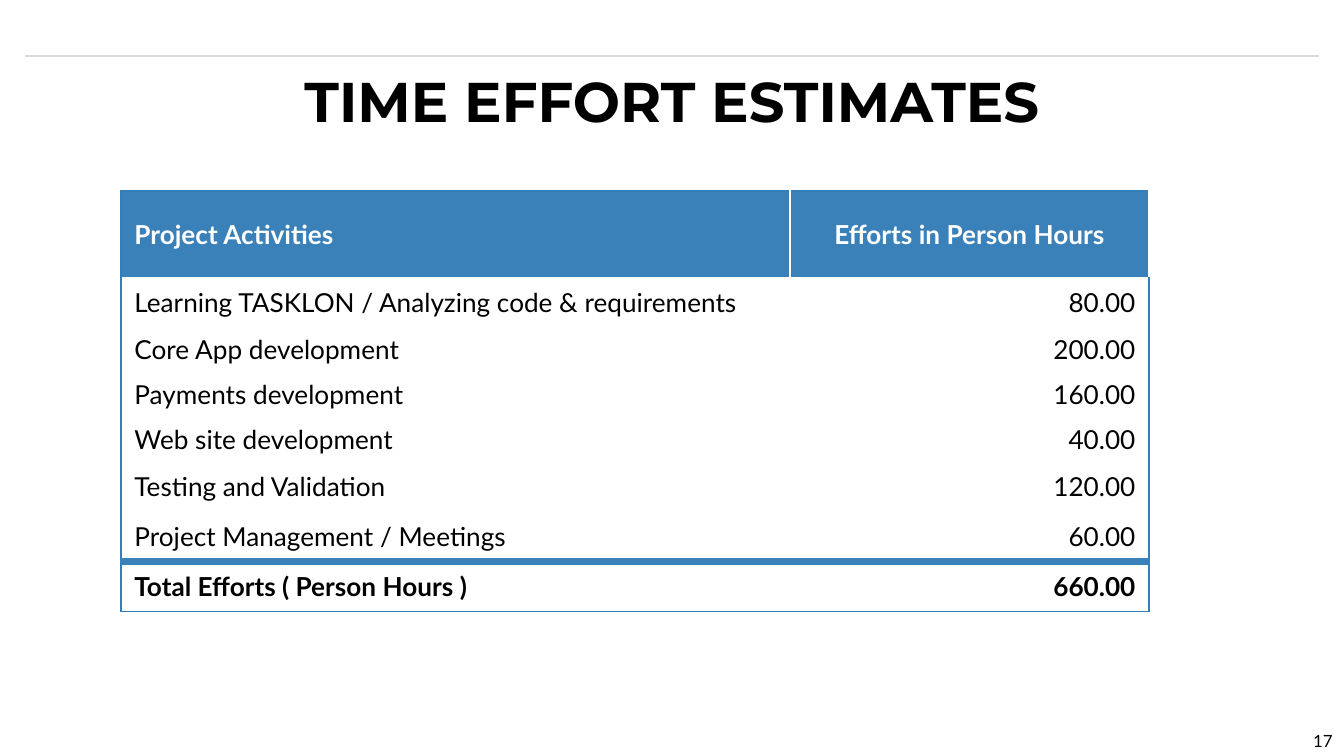
from dataclasses import dataclass

from lxml import etree
from pptx import Presentation
from pptx import util as u
from pptx.dml.color import RGBColor
from pptx.enum import shapes, text
from pptx.oxml.ns import qn

TITLE = "TIME EFFORT ESTIMATES"
PAGE = "17"
ROWS = [
    ("Project Activities", "Efforts in Person Hours"),
    ("Learning TASKLON / Analyzing code & requirements", "80.00"),
    ("Core App development", "200.00"),
    ("Payments development", "160.00"),
    ("Web site development", "40.00"),
    ("Testing and Validation", "120.00"),
    ("Project Management / Meetings", "60.00"),
    ("Total Efforts ( Person Hours )", "660.00"),
]
COL_WIDTHS = [669, 359]
ROW_HEIGHTS = [86, 50, 45, 45, 45, 50, 50, 50]
NO_STYLE = "{2D5ABB26-0587-4C30-8999-92F81FD0307C}"
PX = 914400 / 134.4
ALIGN = text.PP_ALIGN


@dataclass(frozen=True)
class Theme:
    ink: str = "000000"
    paper: str = "FFFFFF"
    fill: str = "3A81BA"
    border: str = "367EB9"
    rule: str = "D9D9D9"
    heading_font: str = "Montserrat"
    body_font: str = "Lato"
    title: int = 30
    body: int = 14
    small: int = 9


T = Theme()


def px(n):
    return u.Emu(round(n * PX))


def write(tf, content, size=T.body, font=T.body_font, color=T.ink,
          bold=False, align=ALIGN.LEFT):
    tf.word_wrap = True
    tf.vertical_anchor = text.MSO_ANCHOR.MIDDLE
    p = tf.paragraphs[0]
    p.alignment = align
    r = p.add_run()
    r.text = content
    r.font.size = u.Pt(size)
    r.font.name = font
    r.font.bold = bold
    r.font.color.rgb = RGBColor.from_string(color)


def add_text(s, box, content, **fmt):
    sp = s.shapes.add_textbox(*map(px, box))
    write(sp.text_frame, content, **fmt)
    return sp


def set_borders(cell, borders):
    tc_pr = cell._tc.get_or_add_tcPr()
    sides = [side for side in "LRTB" if side in borders]
    for i, side in enumerate(sides):
        color, width = borders[side]
        ln = etree.Element(qn(f"a:ln{side}"), w=str(u.Pt(width)))
        fill = etree.SubElement(ln, qn("a:solidFill"))
        etree.SubElement(fill, qn("a:srgbClr"), val=color)
        tc_pr.insert(i, ln)


def cell_borders(row, col):
    edge, divider = (T.border, 0.75), (T.paper, 1)
    header, total = row == 0, row == len(ROWS) - 1
    borders = {}
    if col == 0:
        borders["L"] = edge
    elif header:
        borders["L"] = divider
    if header:
        borders.update(T=edge, R=divider)
    elif col == 1:
        borders["R"] = edge
    if total:
        borders.update(T=(T.fill, 4), B=edge)
    return borders


def add_efforts(s, left, top):
    frame = s.shapes.add_table(
        len(ROWS), len(COL_WIDTHS), px(left), px(top),
        px(sum(COL_WIDTHS)), px(sum(ROW_HEIGHTS)))
    table = frame.table
    table.horz_banding = False
    table._tbl.tblPr.find(qn("a:tableStyleId")).text = NO_STYLE
    for column, width in zip(table.columns, COL_WIDTHS):
        column.width = px(width)
    for row, height in zip(table.rows, ROW_HEIGHTS):
        row.height = px(height)
    for i, row in enumerate(ROWS):
        header, total = i == 0, i == len(ROWS) - 1
        aligns = (ALIGN.LEFT, ALIGN.CENTER if header else ALIGN.RIGHT)
        for j, content in enumerate(row):
            cell = table.cell(i, j)
            cell.vertical_anchor = text.MSO_ANCHOR.MIDDLE
            write(cell.text_frame, content, bold=header or total,
                  color=T.paper if header else T.ink, align=aligns[j])
            if header:
                cell.fill.solid()
                cell.fill.fore_color.rgb = RGBColor.from_string(T.fill)
            else:
                cell.fill.background()
            set_borders(cell, cell_borders(i, j))


def add_rule(s, x1, x2, y):
    line = s.shapes.add_connector(
        shapes.MSO_CONNECTOR.STRAIGHT, px(x1), px(y), px(x2), px(y))
    line.line.color.rgb = RGBColor.from_string(T.rule)
    line.line.width = u.Pt(0.75)
    etree.SubElement(line._element.spPr, qn("a:effectLst"))


def main():
    prs = Presentation()
    prs.slide_width, prs.slide_height = px(1344), px(756)
    s = prs.slides.add_slide(prs.slide_layouts[6])
    add_text(s, (1300, 724, 47, 34), PAGE, size=T.small)
    add_text(s, (0, 60, 1344, 80), TITLE, size=T.title,
             font=T.heading_font, bold=True, align=ALIGN.CENTER)
    add_efforts(s, 121, 191)
    add_rule(s, 25, 1319, 56)
    prs.save("out.pptx")


if __name__ == "__main__":
    main()
